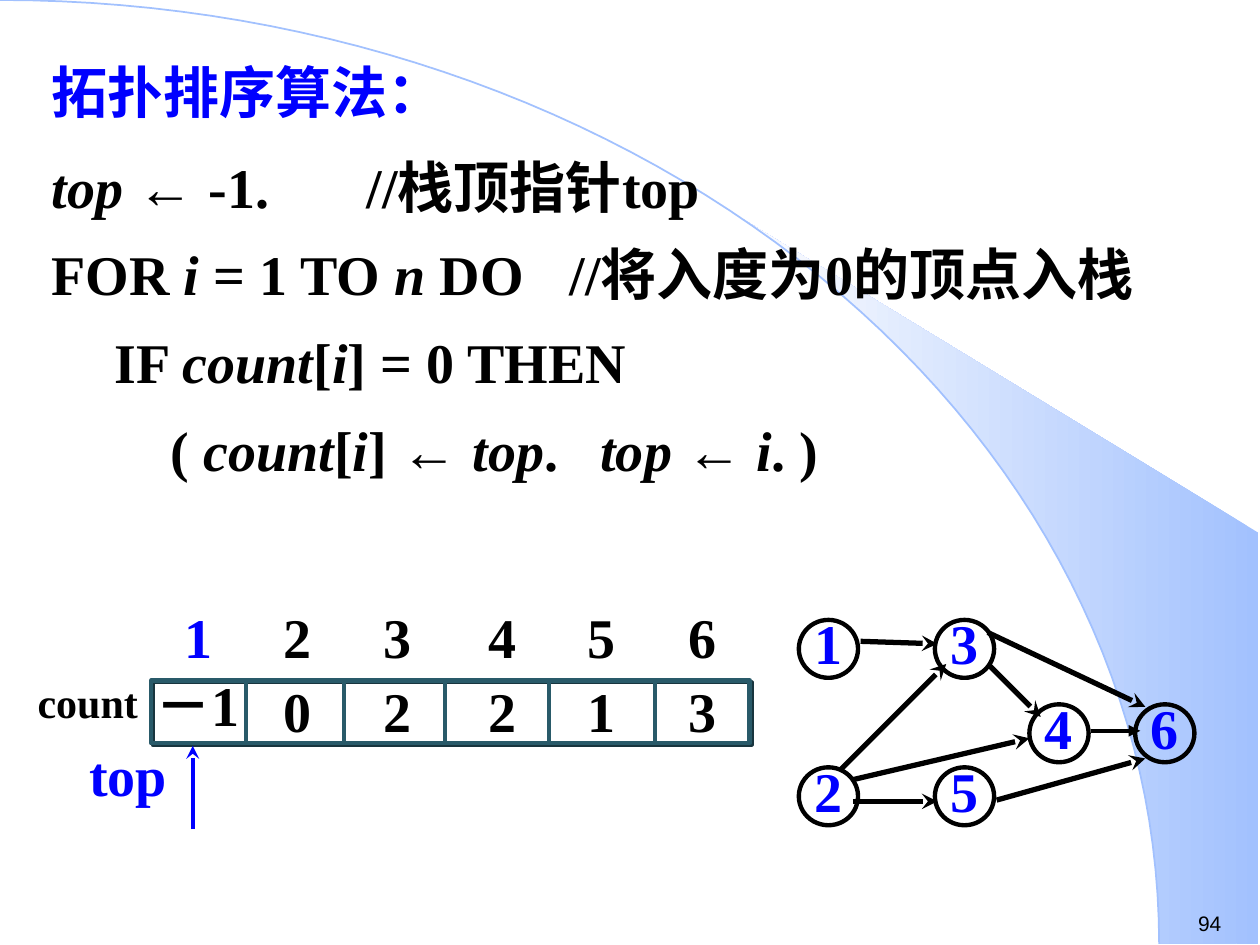
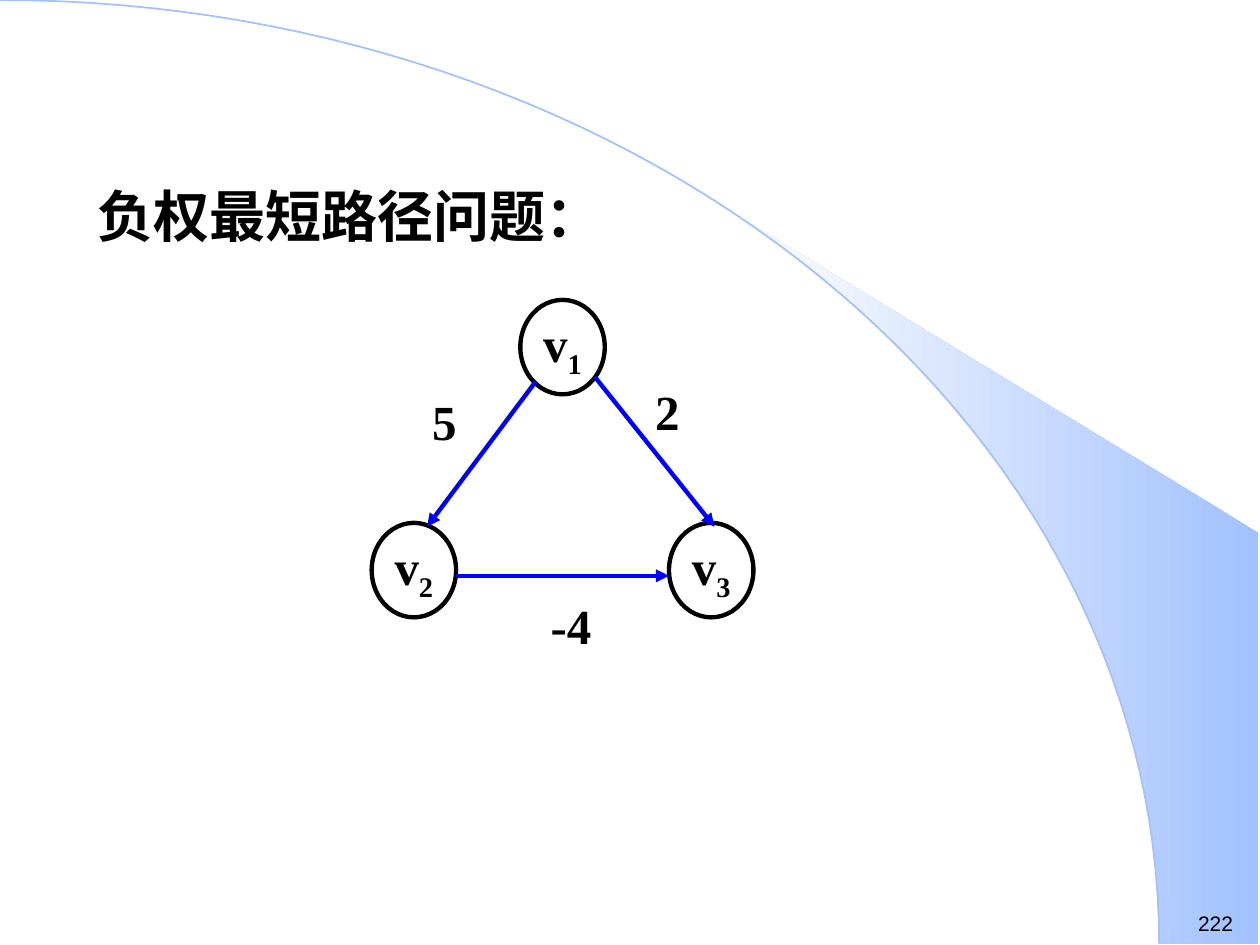
from math import cos, sin, asin, pi

from lxml import etree
from pptx import Presentation
from pptx import util as u
from pptx.dml.color import RGBColor
from pptx.enum import shapes, text
from pptx.oxml import ns

HUES = {"ink": "000000", "blue": "0000FF", "teal": "295A69",
        "shade": "18353E", "sky": "A2C1FE", "pale": "FEFEFE"}
SERIF, SANS = "Times New Roman", "Arial"
WIDE, HIGH = 10, 7.5
ARC = {"wide": 9.2, "high": 7.49, "split": 5.89, "edge": 9.99, "side": 4.23}
PAGE = (9.41, 7.18, 0.59, 0.3)

SORT = {
    "page": "94",
    "title": "拓扑排序算法：",
    "head": (0.31, 0.37, 9.14, 0.7),
    "body": (0.31, 1.06, 9.14, 2.81),
    "code": [
        [("top ", "i"), ("← ", "a"), ("-1.\t\t//栈顶指针top", "")],
        [("FOR ", ""), ("i ", "i"), ("= 1 TO ", ""), ("n", "i"),
         (" DO\t //将入度为0的顶点入栈", "")],
        [("\tIF ", ""), ("count", "i"), ("[", ""), ("i", "i"), ("] = 0 THEN", "")],
        [("\t    ( ", ""), ("count", "i"), ("[", ""), ("i", "i"), ("] ", ""),
         ("← ", "a"), ("top", "i"), (".   ", ""), ("top ", "i"), ("←", "a"),
         (" i", "i"), (". )", "")],
    ],
}
COUNT = {
    "frame": (1.2, 5.4, 4.75, 0.5),
    "bars": [1.95, 2.73, 3.53, 4.36, 5.2],
    "lefts": [1.2, 1.99, 2.78, 3.61, 4.4, 5.2],
    "values": ["－1", "0", "2", "2", "1", "3"],
    "name": ("count", (0.2, 5.32, 1.25, 0.5)),
    "top": ("top", (0.61, 5.83, 1, 0.64)),
    "mark": (1.53, 6.58, 1.53, 5.92),
}
GRAPH = {
    "size": (0.47, 0.46),
    "nodes": {"1": (6.34, 4.92), "3": (7.42, 4.92), "4": (8.17, 5.59),
              "6": (9.01, 5.59), "2": (6.34, 6.09), "5": (7.42, 6.09)},
    "edges": [(6.83, 5.09, 7.44, 5.11), (6.77, 6.36, 7.44, 6.36),
              (6.76, 6.19, 8.17, 5.86), (6.67, 6.11, 7.51, 5.27),
              (7.84, 5.27, 8.26, 5.69), (7.91, 6.35, 9.09, 6.02),
              (7.84, 5.02, 9.09, 5.61)],
    "thin": (8.66, 5.8, 9.05, 5.8),
}
COST = {
    "page": "222",
    "title": "负权最短路径问题：",
    "head": (0.67, 1.39, 8.58, 1.17),
    "size": (0.67, 0.75),
    "nodes": {"1": (4.13, 2.38), "2": (2.95, 4.15), "3": (5.31, 4.15)},
    "edges": [(4.25, 3.03, 3.39, 4.18), (4.72, 2.99, 5.67, 4.18),
              (3.62, 4.57, 5.31, 4.57)],
    "costs": [("2", (5.2, 3.03, 0.28, 0.47)), ("5", (3.43, 3.11, 0.28, 0.47)),
              ("-4", (4.37, 4.73, 0.39, 0.47))],
}


def hue(name):
    return RGBColor.from_string(HUES[name])


def apply(thing, **vals):
    for key, val in vals.items():
        setattr(thing, key, val)


def sub(node, tag, **vals):
    return etree.SubElement(node, ns.qn(tag), {k: str(v) for k, v in vals.items()})


def write(para, words, size=32, ink="ink", face=SERIF, bold=True, slant=False):
    run = para.add_run()
    run.text = words
    apply(run.font, name=face, size=u.Pt(size), bold=bold, italic=slant)
    run.font.color.rgb = hue(ink)
    return run


def place(shape, at):
    apply(shape, **dict(zip(("left", "top", "width", "height"), map(u.Inches, at))))


def setup(frame, inset=None, **vals):
    apply(frame, auto_size=text.MSO_AUTO_SIZE.NONE, **{"word_wrap": True, **vals})
    sides = inset or (0.1, 0.05, 0.1, 0.05)
    names = ("margin_left", "margin_top", "margin_right", "margin_bottom")
    apply(frame, **dict(zip(names, map(u.Inches, sides))))


def label(slide, words, at, mid=False, inset=None, **style):
    box = slide.shapes.add_textbox(*map(u.Inches, at))
    setup(box.text_frame, inset)
    para = box.text_frame.paragraphs[0]
    para.alignment = text.PP_ALIGN.CENTER if mid else text.PP_ALIGN.LEFT
    write(para, words, **style)


def line(slide, ends, ink="ink", width=3, tip=None):
    link = slide.shapes.add_connector(shapes.MSO_CONNECTOR.STRAIGHT, *map(u.Inches, ends))
    link.line.color.rgb = hue(ink)
    link.line.width = u.Pt(width)
    if tip:
        sub(link.line._get_or_add_ln(), "a:tailEnd", type=tip)
    sub(link._element.spPr, "a:effectLst")


def outline(slide, kind, at, ink="ink"):
    shape = slide.shapes.add_shape(kind, *map(u.Inches, at))
    shape.shadow.inherit = False
    shape.fill.background()
    shape.line.color.rgb = hue(ink)
    shape.line.width = u.Pt(2.5)
    return shape


def node(slide, spot, size, inset):
    ring = outline(slide, shapes.MSO_SHAPE.OVAL, spot + size)
    setup(ring.text_frame, inset, word_wrap=False,
          vertical_anchor=text.MSO_ANCHOR.MIDDLE)
    para = ring.text_frame.paragraphs[0]
    para.alignment = text.PP_ALIGN.CENTER
    return para


def curve(start, steps=60):
    turns = [start + (pi / 2 - start) * i / steps for i in range(steps + 1)]
    return [(ARC["wide"] * sin(t), ARC["high"] * (1 - cos(t))) for t in turns]


def trace(slide, dots, close):
    dots = [tuple(map(u.Inches, dot)) for dot in dots]
    pen = slide.shapes.build_freeform(*dots[0], scale=1.0)
    pen.add_line_segments(dots[1:], close=close)
    shape = pen.convert_to_shape()
    shape.shadow.inherit = False
    return shape


def backdrop(deck, slide):
    corner = [(ARC["edge"], ARC["high"]), (ARC["edge"], ARC["side"])]
    wedge = trace(slide, curve(asin(ARC["split"] / ARC["wide"])) + corner, True)
    wedge.line.fill.background()
    wedge.fill.gradient()
    wedge.fill.gradient_angle = 180
    for stop, ink, spot in zip(wedge.fill.gradient_stops, ("sky", "pale"), (0, 1)):
        stop.color.rgb = hue(ink)
        stop.position = spot
    arc = trace(slide, curve(0), False)
    arc.fill.background()
    arc.line.color.rgb = hue("sky")
    arc.line.width = u.Pt(1)
    tree = deck.slide_master.shapes.element
    for shape in (arc, wedge):
        tree.insert(2, shape._element)


def start(slide, data, ink, anchor):
    head = slide.shapes.title
    place(head, data["head"])
    setup(head.text_frame, vertical_anchor=anchor)
    para = head.text_frame.paragraphs[0]
    para.alignment = text.PP_ALIGN.LEFT
    write(para, data["title"], ink=ink)
    label(slide, data["page"], PAGE, size=12, face=SANS, bold=False)


def listing(slide):
    body = slide.placeholders[1]
    place(body, SORT["body"])
    frame = body.text_frame
    setup(frame, vertical_anchor=text.MSO_ANCHOR.MIDDLE)
    for i, parts in enumerate(SORT["code"]):
        para = frame.add_paragraph() if i else frame.paragraphs[0]
        props = para._p.get_or_add_pPr()
        props.set("marL", "0")
        props.set("indent", "0")
        sub(props, "a:buNone")
        tabs = sub(props, "a:tabLst")
        for stop in range(1, 8):
            sub(tabs, "a:tab", pos=u.Inches(stop), algn="l")
        apply(para, line_spacing=1.2, space_before=u.Pt(4 if i else 0))
        for words, kind in parts:
            write(para, words, face=SANS if kind == "a" else SERIF, slant=kind == "i")


def array(slide):
    frame = outline(slide, shapes.MSO_SHAPE.RECTANGLE, COUNT["frame"], "teal")
    glow = sub(frame._element.spPr.find(ns.qn("a:effectLst")), "a:outerShdw",
               dist=u.Pt(1.4), dir=45 * 60000, algn="ctr", rotWithShape=0)
    sub(glow, "a:srgbClr", val=HUES["shade"])
    _, top, _, tall = COUNT["frame"]
    for x in COUNT["bars"]:
        line(slide, (x, top, x, top + tall), "teal", 2.25)
    for i, (x, value) in enumerate(zip(COUNT["lefts"], COUNT["values"])):
        label(slide, str(i + 1), (x, 4.73, 0.75, 0.64), True, ink="ink" if i else "blue")
        spot = (x, 5.32, 0.75, 0.64) if i else (1.03, 5.27, 1.08, 0.64)
        label(slide, value, spot, True)
    label(slide, *COUNT["name"], size=24)
    label(slide, *COUNT["top"], ink="blue")
    line(slide, COUNT["mark"], "blue", 2.5, "stealth")


def graph(slide):
    for name, spot in GRAPH["nodes"].items():
        write(node(slide, spot, GRAPH["size"], (0, 0, 0, 0.1)), name, ink="blue")
    for ends in GRAPH["edges"]:
        line(slide, ends, tip="stealth")
    line(slide, GRAPH["thin"], width=2.25, tip="triangle")


def costs(slide):
    for name, spot in COST["nodes"].items():
        para = node(slide, spot, COST["size"], (0, 0, 0, 0))
        write(para, "v", size=28)
        low = write(para, name, size=28)
        low._r.get_or_add_rPr().set("baseline", "-25000")
    for ends in COST["edges"]:
        line(slide, ends, "blue", 2.5, "triangle")
    for words, at in COST["costs"]:
        label(slide, words, at, inset=(0, 0, 0, 0), size=28)


def main():
    deck = Presentation()
    deck.slide_width, deck.slide_height = u.Inches(WIDE), u.Inches(HIGH)
    first = deck.slides.add_slide(deck.slide_layouts[1])
    backdrop(deck, first)
    start(first, SORT, "blue", text.MSO_ANCHOR.MIDDLE)
    listing(first)
    array(first)
    graph(first)
    last = deck.slides.add_slide(deck.slide_layouts[5])
    start(last, COST, "ink", text.MSO_ANCHOR.TOP)
    costs(last)
    deck.save("out.pptx")


if __name__ == "__main__":
    main()
